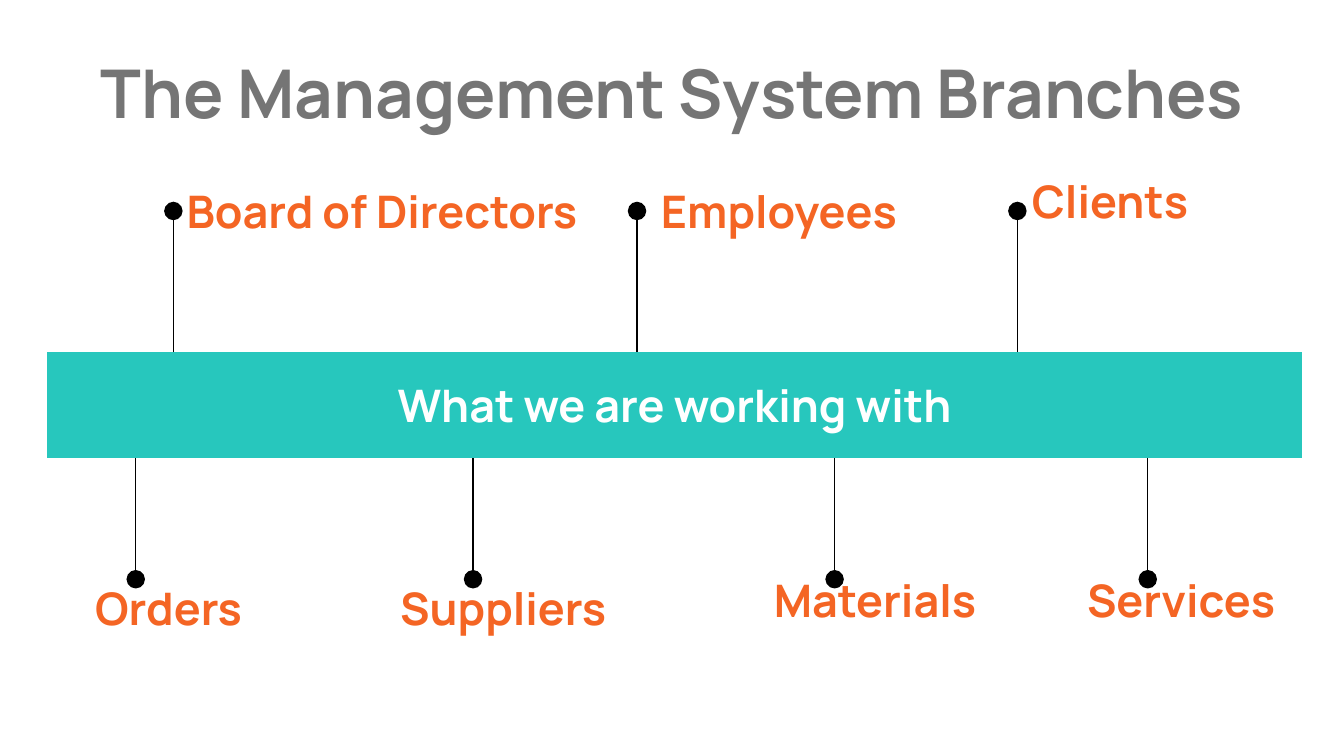
"""Build a slide showing the branches of a management system around a central bar."""
from lxml import etree
from pptx import Presentation
from pptx import util as u
from pptx.dml.color import RGBColor
from pptx.enum import shapes, text
from pptx.oxml.ns import qn

THEME = {
    "font": "Manrope",
    "title": ("757575", 36),
    "label": ("F46524", 24),
    "bar_text": ("FFFFFF", 24),
    "bar": "27C7BD",
    "line": "000000",
    "line_width": 0.75,
    "plain_table": "{2D5ABB26-0587-4C30-8999-92F81FD0307C}",
}

TITLE = "The Management System Branches"
BAR_TEXT = "What we are working with"
BAR_LEFT, BAR_TOP, BAR_WIDTH, BAR_HEIGHT = 0.35, 2.62, 9.34, 0.79
FIRST_COLUMN, OTHER_COLUMNS = 1.61, 7
BAR_COLUMNS = [FIRST_COLUMN] + [(BAR_WIDTH - FIRST_COLUMN) / OTHER_COLUMNS] * OTHER_COLUMNS
LABEL_WIDTH, LABEL_HEIGHT = 2.57, 0.43

# label, line x, label left, label top, label width, label height
SIDES = [
    {"start": BAR_TOP, "end": 1.57, "branches": [
        ("Board of Directors", 1.29, 1.29, 1.17, 4.64, 0.79),
        ("Employees", 4.74, 4.82, 1.35, LABEL_WIDTH, LABEL_HEIGHT),
        ("Clients", 7.57, 7.58, 1.28, LABEL_WIDTH, LABEL_HEIGHT),
    ]},
    {"start": BAR_TOP + BAR_HEIGHT, "end": 4.31, "branches": [
        ("Orders", 1.01, 0.61, 4.31, 2.53, LABEL_HEIGHT),
        ("Suppliers", 3.52, 2.88, 4.31, LABEL_WIDTH, LABEL_HEIGHT),
        ("Materials", 6.21, 5.66, 4.25, LABEL_WIDTH, LABEL_HEIGHT),
        ("Services", 8.54, 7.99, 4.25, LABEL_WIDTH, LABEL_HEIGHT),
    ]},
]


def color(name):
    return RGBColor.from_string(name)


def add_run(paragraph, words, style, alignment):
    paragraph.alignment = alignment
    run = paragraph.add_run()
    run.text = words
    name, size = THEME[style]
    run.font.name, run.font.size, run.font.bold = THEME["font"], u.Pt(size), True
    run.font.color.rgb = color(name)


def set_margins(target):
    for side in ("left", "top", "right", "bottom"):
        setattr(target, f"margin_{side}", u.Inches(0.1))


def add_text(slide, words, box, style, alignment, anchor):
    frame = slide.shapes.add_textbox(*map(u.Inches, box)).text_frame
    frame.word_wrap = True
    frame.auto_size = text.MSO_AUTO_SIZE.NONE
    frame.vertical_anchor = anchor
    set_margins(frame)
    add_run(frame.paragraphs[0], words, style, alignment)


def add_bar(slide):
    box = (BAR_LEFT, BAR_TOP, BAR_WIDTH, BAR_HEIGHT)
    table = slide.shapes.add_table(1, len(BAR_COLUMNS), *map(u.Inches, box)).table
    table.first_row = table.horz_banding = False
    table._tbl.tblPr.find(qn("a:tableStyleId")).text = THEME["plain_table"]
    for column, width in zip(table.columns, BAR_COLUMNS):
        column.width = u.Inches(width)
    for cell in table.iter_cells():
        cell.fill.solid()
        cell.fill.fore_color.rgb = color(THEME["bar"])
    cell = table.cell(0, 0)
    cell.merge(table.cell(0, len(BAR_COLUMNS) - 1))
    cell.vertical_anchor = text.MSO_ANCHOR.MIDDLE
    set_margins(cell)
    add_run(cell.text_frame.paragraphs[0], BAR_TEXT, "bar_text", text.PP_ALIGN.CENTER)


def add_branch_line(slide, x, start, end):
    points = map(u.Inches, (x, start, x, end))
    connector = slide.shapes.add_connector(shapes.MSO_CONNECTOR.STRAIGHT, *points)
    connector.line.color.rgb = color(THEME["line"])
    connector.line.width = u.Pt(THEME["line_width"])
    properties = connector.line._get_or_add_ln()
    etree.SubElement(properties, qn("a:tailEnd"), type="oval", w="lg", len="lg")
    etree.SubElement(connector._element.spPr, qn("a:effectLst"))


def main():
    presentation = Presentation()
    presentation.slide_width = u.Inches(10)
    presentation.slide_height = presentation.slide_width * 9 // 16
    slide = presentation.slides.add_slide(presentation.slide_layouts[6])
    add_text(slide, TITLE, (0.34, 0.28, 9.32, 0.7), "title",
             text.PP_ALIGN.CENTER, text.MSO_ANCHOR.TOP)
    add_bar(slide)
    for side in SIDES:
        for label, x, *box in side["branches"]:
            add_text(slide, label, box, "label",
                     text.PP_ALIGN.LEFT, text.MSO_ANCHOR.MIDDLE)
            add_branch_line(slide, x, side["start"], side["end"])
    presentation.save("out.pptx")


if __name__ == "__main__":
    main()
